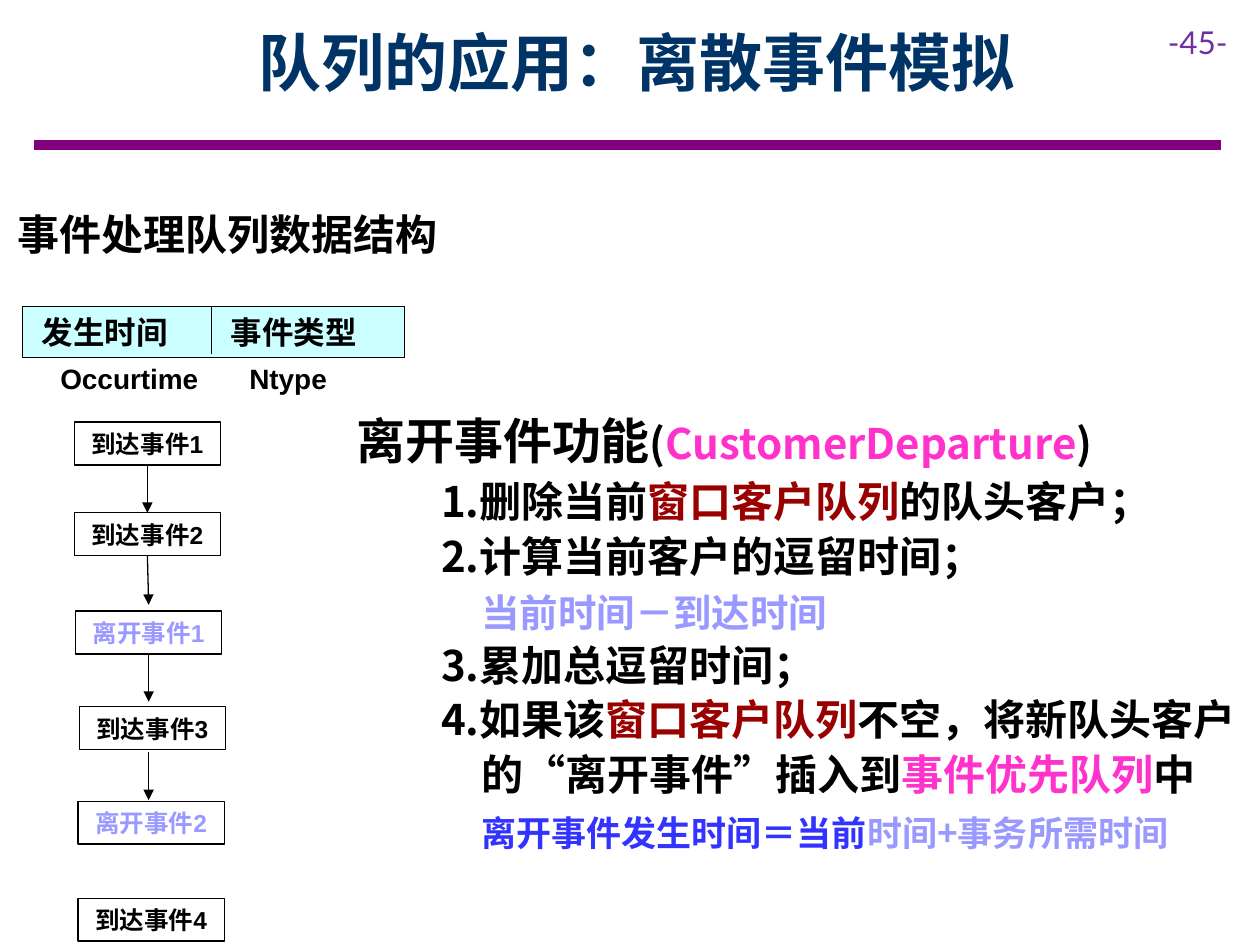
from lxml import etree
from pptx import Presentation
from pptx.dml.color import RGBColor
from pptx.enum.shapes import MSO_CONNECTOR, MSO_SHAPE
from pptx.enum.text import MSO_ANCHOR, MSO_AUTO_SIZE, PP_ALIGN
from pptx.oxml.ns import qn
from pptx.util import Inches, Pt

RECT, STRAIGHT = MSO_SHAPE.RECTANGLE, MSO_CONNECTOR.STRAIGHT
TOP, MIDDLE = MSO_ANCHOR.TOP, MSO_ANCHOR.MIDDLE
LEFT, CENTER = PP_ALIGN.LEFT, PP_ALIGN.CENTER
BOTTOM_SITE, TOP_SITE = 2, 0

THEME = dict(
    cjk="Noto Sans CJK SC", latin="Arial", page="Lato",
    ink="000000", title="003366", rule="800080", number="7030A0",
    header="CCFFFF", pale="9999FF", blue="3333FF", pink="FF33CC", red="990000",
    h1=36, h2=28, body=24, formula=22, result=20, label=18, code=16, event=14,
    leading=1.3,
)
T = THEME

TITLE = "队列的应用：离散事件模拟"
PAGE = "-45-"
SUBTITLE = "事件处理队列数据结构"
FIELDS = "发生时间\t事件类型"
FIELD_NAMES = "Occurtime\tNtype"
HEADING = [("离开事件功能", "ink", "h2"), ("(", "ink", "body"),
           ("CustomerDeparture", "pink", "body"), (")", "ink", "body")]
STEPS = [
    (0, [("1.删除当前", "ink", "body"), ("窗口客户队列", "red", "body"),
         ("的队头客户；", "ink", "body")]),
    (0, [("2.计算当前客户的逗留时间；", "ink", "body")]),
    (1, [("当前时间－到达时间", "pale", "formula")]),
    (0, [("3.累加总逗留时间；", "ink", "body")]),
    (0, [("4.如果该", "ink", "body"), ("窗口客户队列", "red", "body"),
         ("不空，将新队头客户", "ink", "body")]),
    (1, [("的“离开事件”插入到", "ink", "body"), ("事件优先队列", "pink", "body"),
         ("中", "ink", "body")]),
    (1, [("离开事件发生时间＝当前", "blue", "result"),
         ("时间+事务所需时间", "pale", "result")]),
]
EVENTS = [("到达事件1", "ink", 0.59, 3.35), ("到达事件2", "ink", 0.59, 4.07),
          ("离开事件1", "pale", 0.6, 4.85), ("到达事件3", "ink", 0.63, 5.61),
          ("离开事件2", "pale", 0.62, 6.36), ("到达事件4", "ink", 0.62, 7.13)]
EVENT_W, EVENT_H = 1.16, 0.34
ARROW_X, ARROW_LEN, ARROW_TOPS = 1.18, 0.38, [3.69, 4.42, 5.19, 5.97]
INDENT, SNAP = 0.32, 0.015


def color(key):
    return RGBColor.from_string(T[key])


def place(sp, box):
    sp.left, sp.top, sp.width, sp.height = map(Inches, box)
    return sp


def write(sp, lines, fill="ink", size="body", font="cjk", bold=True, align=LEFT,
          anchor=TOP, inset=(0.1, 0.05), leading=None, tab=None):
    tf = sp.text_frame
    tf.auto_size, tf.word_wrap, tf.vertical_anchor = MSO_AUTO_SIZE.NONE, False, anchor
    tf.margin_left = tf.margin_right = Inches(inset[0])
    tf.margin_top = tf.margin_bottom = Inches(inset[1])
    if isinstance(lines, str):
        lines = [(0, [(lines, fill, size)])]
    for i, (level, runs) in enumerate(lines):
        p = tf.paragraphs[0] if i == 0 else tf.add_paragraph()
        p.alignment, p.space_before = align, Pt(0)
        if leading:
            p.line_spacing = Pt(round(T[leading] * T["leading"], 1))
        pPr = p._p.get_or_add_pPr()
        pPr.set("marL", str(Inches(level * INDENT)))
        pPr.set("indent", "0")
        etree.SubElement(pPr, qn("a:buNone"))
        if tab:
            tabs = etree.SubElement(pPr, qn("a:tabLst"))
            etree.SubElement(tabs, qn("a:tab"), pos=str(Inches(tab)), algn="l")
        for text, key, scale in runs:
            r = p.add_run()
            r.text = text
            r.font.size, r.font.bold = Pt(T[scale]), bold
            r.font.color.rgb = color(key)
            r.font.name = T[font]
            etree.SubElement(r._r.get_or_add_rPr(), qn("a:ea"), typeface=T["cjk"])


def add_text(s, box, lines, **fmt):
    write(s.shapes.add_textbox(*map(Inches, box)), lines, **fmt)


def add_box(s, box, text, fill=None, **fmt):
    sp = s.shapes.add_shape(RECT, *map(Inches, box))
    sp.shadow.inherit = False
    if fill:
        sp.fill.solid()
        sp.fill.fore_color.rgb = color(fill)
    else:
        sp.fill.background()
    sp.line.color.rgb, sp.line.width = color("ink"), Pt(0.75)
    write(sp, text, anchor=MIDDLE, **fmt)
    return sp


def add_line(s, x1, y1, x2, y2, key="ink", width=0.75, arrow=False):
    c = s.shapes.add_connector(STRAIGHT, *map(Inches, (x1, y1, x2, y2)))
    c.line.color.rgb, c.line.width = color(key), Pt(width)
    if arrow:
        etree.SubElement(c.line._get_or_add_ln(), qn("a:tailEnd"), type="triangle")
    etree.SubElement(c._element.spPr, qn("a:effectLst"))
    return c


def touches(event, y, side):
    _, _, x, top = event
    edge = top + (EVENT_H if side == BOTTOM_SITE else 0)
    return abs(x + EVENT_W / 2 - ARROW_X) < SNAP and abs(edge - y) < SNAP


def add_events(s):
    boxes = [add_box(s, (x, y, EVENT_W, EVENT_H), [(0, [(text, key, "event")])],
                     font="latin", align=CENTER, inset=(0, 0))
             for text, key, x, y in EVENTS]
    for i, y in enumerate(ARROW_TOPS):
        end = y + ARROW_LEN
        c = add_line(s, ARROW_X, y, ARROW_X, end, arrow=True)
        if touches(EVENTS[i], y, BOTTOM_SITE):
            c.begin_connect(boxes[i], BOTTOM_SITE)
        if touches(EVENTS[i + 1], end, TOP_SITE):
            c.end_connect(boxes[i + 1], TOP_SITE)


def main():
    prs = Presentation()
    prs.slide_width, prs.slide_height = Inches(10), Inches(7.5)
    s = prs.slides.add_slide(prs.slide_layouts[1])
    title, body = s.placeholders

    add_line(s, 0.27, 1.15, 9.69, 1.15, key="rule", width=6)
    add_text(s, (9.17, 0.13, 0.83, 0.4), PAGE, fill="number", size="label",
             font="page", bold=False)
    write(place(title, (0.9, 0.09, 8.31, 1)), TITLE, fill="title", size="h1",
          align=CENTER, leading="h1")
    add_text(s, (0.04, 1.57, 3.97, 0.5), SUBTITLE, font="latin", leading="body")

    add_box(s, (0.18, 2.43, 3.03, 0.41), [(0, [(FIELDS, "ink", "label")])],
            fill="header", inset=(0.15, 0), tab=1.23)
    add_line(s, 1.68, 2.43, 1.68, 2.81)
    add_text(s, (0.38, 2.82, 2.55, 0.37), FIELD_NAMES, size="code", font="latin", tab=1.65)
    add_events(s)

    add_text(s, (2.73, 3.17, 6.93, 0.57), [(0, HEADING)], leading="h2")
    write(place(body, (3.4, 3.69, 6.6, 3.17)), STEPS, leading="body")
    prs.save("out.pptx")


if __name__ == "__main__":
    main()
